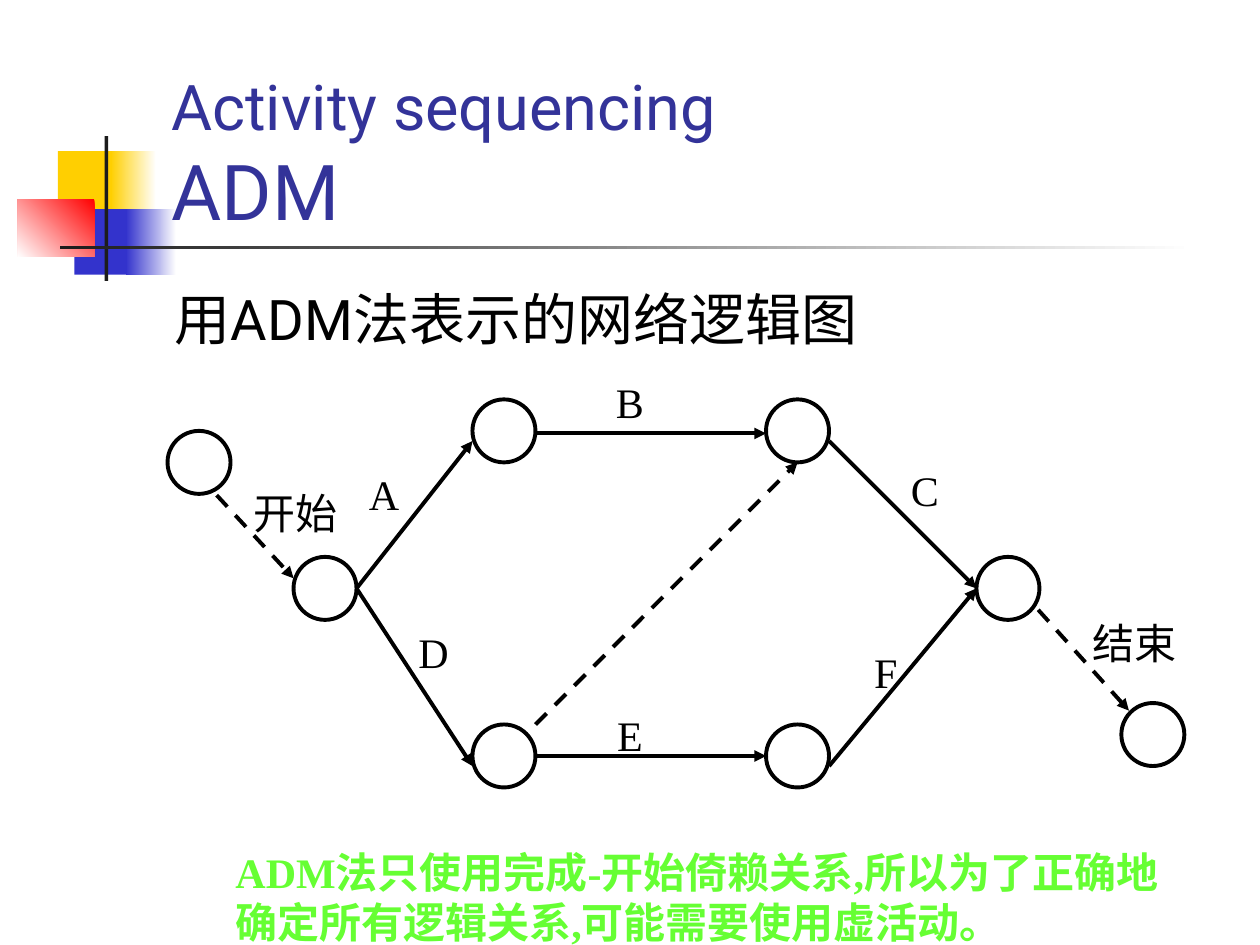
from pptx import Presentation
from pptx.dml.color import RGBColor
from pptx.enum.dml import MSO_LINE
from pptx.enum.shapes import MSO_CONNECTOR, MSO_SHAPE
from pptx.enum.text import MSO_ANCHOR, MSO_AUTO_SIZE, PP_ALIGN
from pptx.oxml.ns import qn
from pptx.util import Inches, Pt
from lxml import etree

RECT, OVAL = MSO_SHAPE.RECTANGLE, MSO_SHAPE.OVAL
STRAIGHT = MSO_CONNECTOR.STRAIGHT
DASH = MSO_LINE.DASH
LEFT, CENTER = PP_ALIGN.LEFT, PP_ALIGN.CENTER

WHITE = RGBColor(0xFF, 0xFF, 0xFF)
BLACK = RGBColor(0x00, 0x00, 0x00)
YELLOW = RGBColor(0xFF, 0xCF, 0x01)
BLUE = RGBColor(0x33, 0x33, 0xCC)
RED = RGBColor(0xFF, 0x00, 0x00)
CHARCOAL = RGBColor(0x1C, 0x1C, 0x1C)
INDIGO = RGBColor(0x33, 0x33, 0x99)
GREEN = RGBColor(0x66, 0xFF, 0x33)


class Deck:
    heading_font = "Roboto"
    text_font = "Times New Roman"
    line_width = Pt(2.25)
    node_size = 0.5

    def __init__(self):
        self.prs = Presentation()
        self.prs.slide_width, self.prs.slide_height = Inches(10), Inches(7.5)
        self.s = self.prs.slides.add_slide(self.prs.slide_layouts[5])

    def shape(self, kind, *box):
        sp = self.s.shapes.add_shape(kind, *map(Inches, box))
        sp.shadow.inherit = False
        return sp

    def block(self, box, color, end=None, angle=180):
        """Borderless rectangle, plain or fading from color to end."""
        sp = self.shape(RECT, *box)
        sp.line.fill.background()
        if end is None:
            sp.fill.solid()
            sp.fill.fore_color.rgb = color
        else:
            sp.fill.gradient()
            sp.fill.gradient_angle = angle
            for stop, rgb in zip(sp.fill.gradient_stops, (color, end)):
                stop.color.rgb = rgb

    def node(self, x, y):
        sp = self.shape(OVAL, x, y, self.node_size, self.node_size)
        sp.fill.background()
        sp.line.color.rgb = BLACK
        sp.line.width = self.line_width

    def arrow(self, start, end, dashed=False):
        cx = self.s.shapes.add_connector(STRAIGHT, *map(Inches, start + end))
        cx.line.color.rgb = BLACK
        cx.line.width = self.line_width
        if dashed:
            cx.line.dash_style = DASH
        ln = cx.line._get_or_add_ln()
        etree.SubElement(ln, qn("a:tailEnd"), type="triangle")
        etree.SubElement(cx._element.spPr, qn("a:effectLst"))

    def title(self, box, lines):
        sp = self.s.shapes.title
        sp.left, sp.top, sp.width, sp.height = map(Inches, box)
        sp._element.getparent().append(sp._element)  # in front of the blocks
        tf = sp.text_frame
        tf.auto_size = MSO_AUTO_SIZE.NONE
        tf.vertical_anchor = MSO_ANCHOR.BOTTOM
        p = tf.paragraphs[0]
        p.alignment = LEFT
        p.font.name, p.font.color.rgb = self.heading_font, INDIGO
        for i, (text, size) in enumerate(lines):
            if i:
                p.add_line_break()
            r = p.add_run()
            r.text, r.font.size = text, Pt(size)

    def text(self, box, text, size=24, font=text_font, color=BLACK,
             bold=False, align=LEFT):
        tf = self.s.shapes.add_textbox(*map(Inches, box)).text_frame
        tf.word_wrap = True
        p = tf.paragraphs[0]
        p.text, p.alignment = text, align
        p.font.name, p.font.size, p.font.bold = font, Pt(size), bold
        p.font.color.rgb = color


def main():
    d = Deck()

    # Corner blocks and rules
    d.block((0.46, 1.2, 0.48, 0.52), YELLOW)
    d.block((0.88, 1.2, 0.36, 0.52), WHITE, YELLOW)
    d.block((0.59, 1.66, 0.46, 0.52), BLUE)
    d.block((1, 1.66, 0.4, 0.52), WHITE, BLUE)
    d.block((0.14, 1.58, 0.61, 0.46), RED, WHITE, angle=225)
    d.block((0.83, 1.08, 0.03, 1.15), CHARCOAL)
    d.block((0.48, 1.95, 9, 0.03), WHITE, CHARCOAL)

    # Title and subject
    d.title((1.26, 0.67, 8.52, 1.25), [("Activity sequencing ", 36), ("ADM", 44)])
    d.text((1.29, 2.21, 8.5, 0.7), "用ADM法表示的网络逻辑图", 32, d.heading_font)

    # Event nodes
    for x, y in [(1.33, 3.42), (2.33, 4.42), (3.75, 3.17), (3.75, 5.75),
                 (6.08, 3.17), (6.08, 5.75), (7.75, 4.42), (8.9, 5.58)]:
        d.node(x, y)

    # Activities
    fork, join = (2.83, 4.67), (7.75, 4.67)
    for start, end in [(fork, (3.75, 3.5)), (fork, (3.75, 6.08)),
                       ((4.25, 3.44), (6.08, 3.44)), ((4.25, 6), (6.08, 6)),
                       ((6.58, 3.5), join), ((6.58, 6.08), join)]:
        d.arrow(start, end)

    # Start, finish and dummy activities
    for start, end in [((1.72, 3.93), (2.33, 4.59)), ((8.24, 4.84), (8.96, 5.64)),
                       ((4.25, 5.75), (6.33, 3.67))]:
        d.arrow(start, end, dashed=True)

    # Activity labels
    for text, x, y in [("开始", 1.91, 3.82), ("结束", 8.57, 4.85)]:
        d.text((x, y, 0.92, 0.5), text)
    for text, x, y, align in [("A", 2.83, 3.67, LEFT), ("B", 4.7, 2.94, CENTER),
                              ("C", 7.04, 3.64, CENTER), ("D", 3.14, 4.92, CENTER),
                              ("E", 4.7, 5.58, CENTER), ("F", 6.73, 5.08, CENTER)]:
        d.text((x, y, 0.6, 0.5), text, align=align)

    # Closing remark
    d.text((1.77, 6.67, 7.72, 0.9),
           "ADM法只使用完成-开始倚赖关系,所以为了正确地确定所有逻辑关系,可能需要使用虚活动。",
           color=GREEN, bold=True)

    d.prs.save("out.pptx")


if __name__ == "__main__":
    main()
